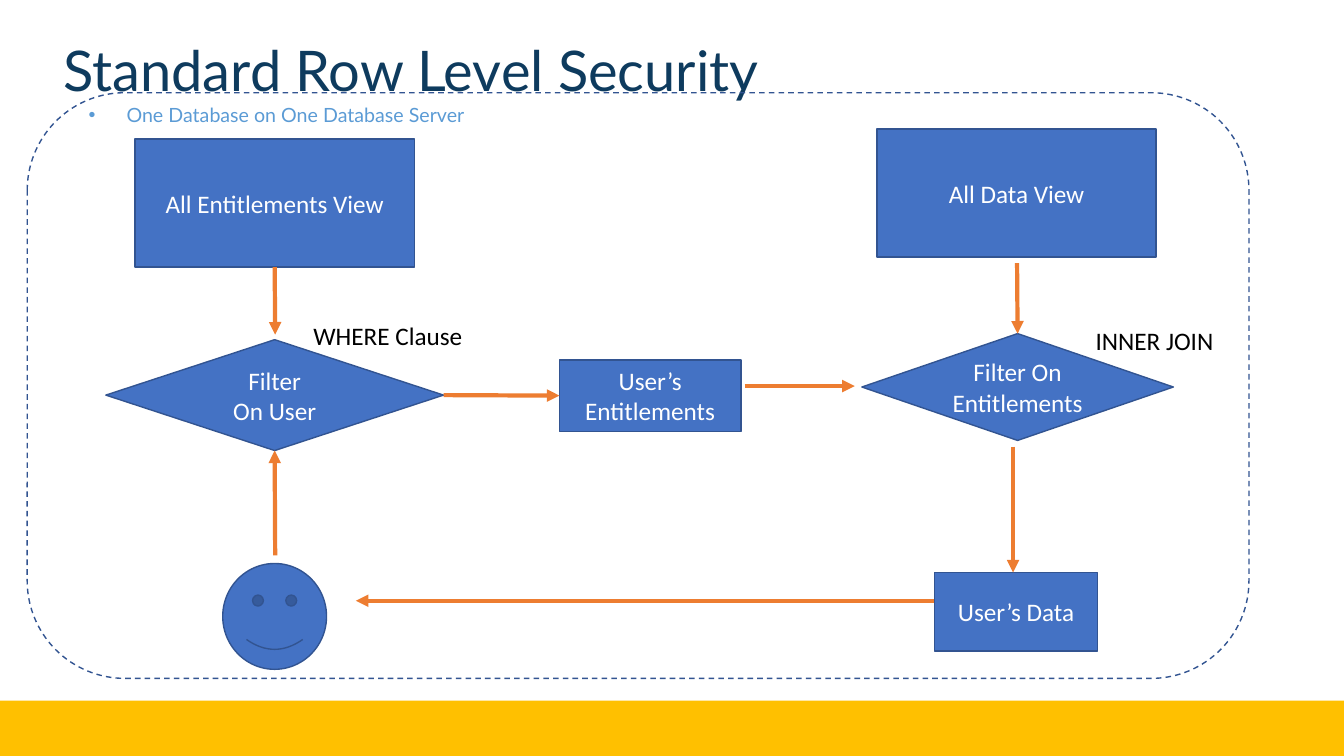
from lxml.etree import SubElement
from pptx import Presentation
from pptx.dml.color import RGBColor
from pptx.enum.dml import MSO_LINE
from pptx.enum.shapes import MSO_CONNECTOR, MSO_SHAPE as SHAPE
from pptx.enum.text import MSO_ANCHOR, MSO_AUTO_SIZE, PP_ALIGN
from pptx.oxml.ns import qn
from pptx.util import Inches, Pt

UNIT = Inches(0.1)
COLUMNS, ROWS = 133.33, 75
BLUE, OUTLINE, ORANGE, YELLOW = "4472C4", "325491", "ED7D31", "FFC000"
NAVY, SKY, WHITE, BLACK = "0E3B5E", "5B9BD5", "FFFFFF", "000000"
TOP, LEFT, BOTTOM, RIGHT = range(4)


def grid(*cells):
    """Turn columns and rows into slide lengths."""
    return [round(cell * UNIT) for cell in cells]


def paint(color_format, color):
    """Give a fill, line or font a solid colour."""
    if hasattr(color_format, "solid"):
        color_format.solid()
        color_format = color_format.fore_color
    else:
        color_format = color_format.color
    color_format.rgb = RGBColor.from_string(color)


def write(shape, text, color, size=18, font="Calibri", align=PP_ALIGN.LEFT):
    """Write text with one paragraph per line."""
    shape.text_frame.text = text
    shape.text_frame.word_wrap = True
    for paragraph in shape.text_frame.paragraphs:
        paragraph.alignment = align
        paragraph.font.name = font
        paragraph.font.size = Pt(size)
        paint(paragraph.font, color)


def add_block(slide, kind, cells, text="", fill=BLUE, line=OUTLINE):
    """Add a preset shape with optional centred text, fill and outline."""
    shape = slide.shapes.add_shape(kind, *grid(*cells))
    shape.shadow.inherit = False
    if fill:
        paint(shape.fill, fill)
    else:
        shape.fill.background()
    if line:
        paint(shape.line, line)
        shape.line.width = Pt(1)
    else:
        shape.line.fill.background()
    if text:
        write(shape, text, WHITE, align=PP_ALIGN.CENTER)
        shape.text_frame.vertical_anchor = MSO_ANCHOR.MIDDLE
    return shape


def add_arrow(slide, start, end, source=None, target=None):
    """Add an arrow, joined to (shape, side) pairs where given."""
    arrow = slide.shapes.add_connector(MSO_CONNECTOR.STRAIGHT, *grid(*start, *end))
    paint(arrow.line, ORANGE)
    arrow.line.width = Pt(3)
    SubElement(arrow.line._get_or_add_ln(), qn("a:tailEnd"), type="triangle")
    SubElement(arrow._element.spPr, qn("a:effectLst"))
    if source:
        arrow.begin_connect(*source)
    if target:
        arrow.end_connect(*target)


def add_label(slide, cells, text):
    """Add a plain black label."""
    write(slide.shapes.add_textbox(*grid(*cells)), text, BLACK)


def fill_heading(placeholder, cells, text, size, color):
    """Move a placeholder and set it as an unbulleted heading."""
    placeholder.left, placeholder.top, placeholder.width, placeholder.height = grid(*cells)
    frame = placeholder.text_frame
    frame.margin_left = frame.margin_right = frame.margin_top = frame.margin_bottom = 0
    frame.auto_size = MSO_AUTO_SIZE.NONE
    frame.vertical_anchor = MSO_ANCHOR.TOP
    paragraph = frame.paragraphs[0]
    properties = paragraph._p.get_or_add_pPr()
    properties.set("marL", "0")
    properties.set("indent", "0")
    SubElement(properties, qn("a:buNone"))
    write(placeholder, text, color, size, "Lato")
    paragraph.line_spacing = 0.9
    paragraph.space_before = Pt(0)


def main():
    """Build the row level security slide."""
    presentation = Presentation()
    presentation.slide_width, presentation.slide_height = grid(COLUMNS, ROWS)
    slide = presentation.slides.add_slide(presentation.slide_layouts[1])
    title, subtitle = slide.placeholders
    fill_heading(title, (6.3, 3.5, 120.9, 6.1), "Standard Row Level Security", 40, NAVY)
    fill_heading(subtitle, (8.8, 10.2, 121, 2.1),
                 "One Database on One Database Server", 14, SKY)

    add_block(slide, SHAPE.RECTANGLE, (0, 69.5, COLUMNS, 5.5), fill=YELLOW, line=None)
    all_data = (87, 12.8, 27.7, 12.7)
    add_block(slide, SHAPE.RECTANGLE, all_data, "All Data View")
    all_entitlements = add_block(
        slide, SHAPE.RECTANGLE, (13.4, 13.8, 27.7, 12.7), "All Entitlements View")
    user_entitlements = add_block(
        slide, SHAPE.RECTANGLE, (55.5, 35.7, 18, 7.1), "User’s Entitlements")
    entitlement_filter = add_block(
        slide, SHAPE.DIAMOND, (85.5, 33.1, 30.9, 10.6), "Filter On Entitlements")
    user_data = add_block(slide, SHAPE.RECTANGLE, (92.7, 56.8, 16.2, 7.8), "User’s Data")
    user_filter = add_block(slide, SHAPE.DIAMOND, (10.5, 33.7, 33.5, 11), "Filter\nOn User")

    add_arrow(slide, (27.3, 26.5), (27.3, 33.2), source=(all_entitlements, BOTTOM))
    add_arrow(slide, (44, 39.3), (55.5, 39.3),
              (user_filter, RIGHT), (user_entitlements, LEFT))
    add_arrow(slide, (27.3, 55.1), (27.3, 44.7), target=(user_filter, BOTTOM))
    add_arrow(slide, (73.9, 38.3), (84.8, 38.3))
    add_arrow(slide, (100.9, 26.1), (100.8, 33.1), target=(entitlement_filter, TOP))
    add_arrow(slide, (100.5, 44.3), (100.5, 56.8))
    add_arrow(slide, (92.7, 59.6), (35.3, 59.6))

    add_label(slide, (107.7, 31.8, 14.1, 4), "INNER JOIN")
    add_label(slide, (30.1, 31.3, 18.9, 4), "WHERE Clause")
    server = add_block(slide, SHAPE.ROUNDED_RECTANGLE, (2.7, 9.2, 121.2, 58.1), fill=None)
    server.line.dash_style = MSO_LINE.DASH
    add_block(slide, SHAPE.SMILEY_FACE, (22.1, 55.9, 10.3, 10.5))
    presentation.save("out.pptx")


if __name__ == "__main__":
    main()
